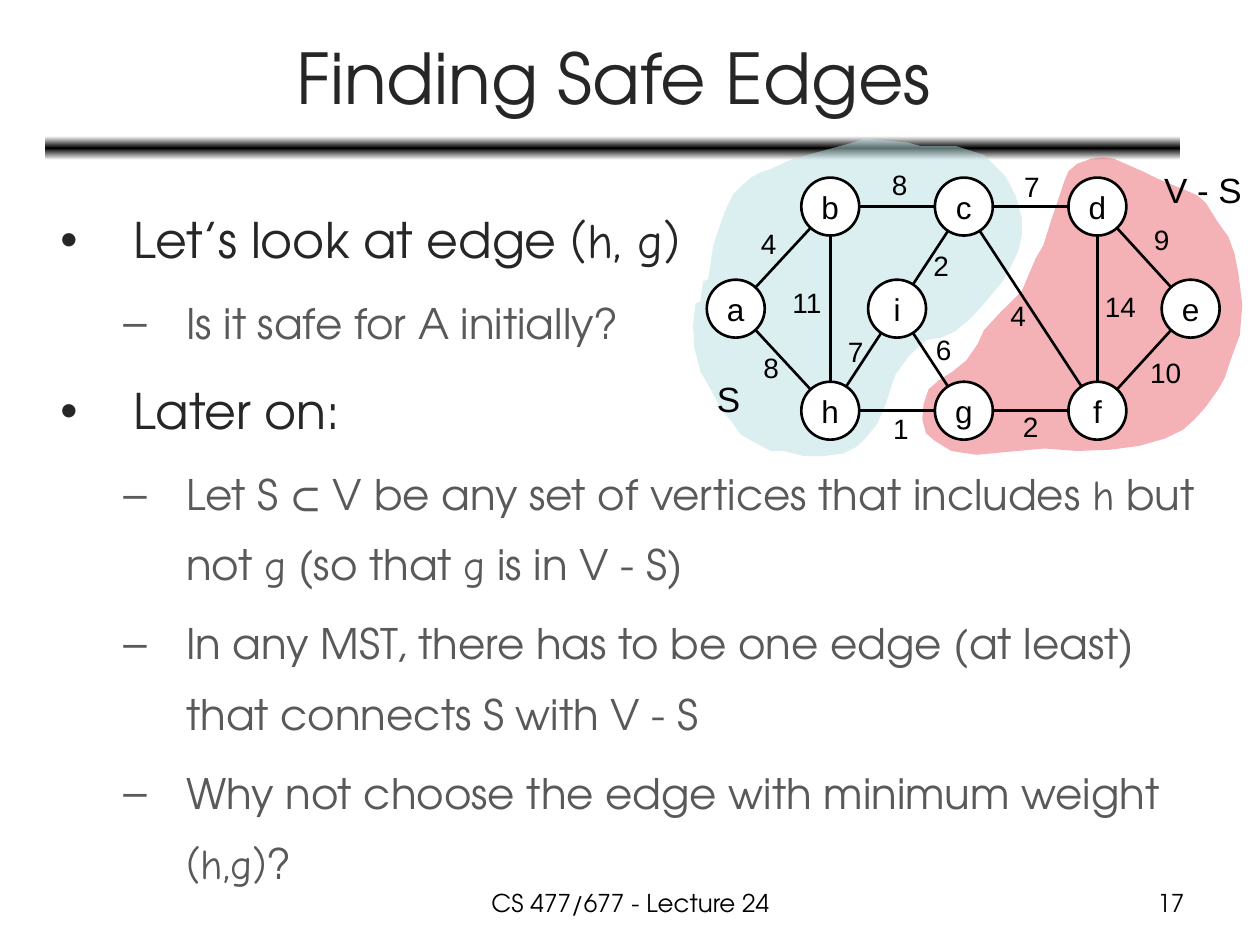
from copy import deepcopy
from math import hypot

from lxml.etree import SubElement
from pptx import Presentation
from pptx.dml.color import RGBColor
from pptx.enum.shapes import MSO_CONNECTOR, MSO_SHAPE
from pptx.enum.text import MSO_ANCHOR, PP_ALIGN
from pptx.oxml.ns import qn
from pptx.util import Inches, Pt

BLACK, WHITE, DARK, GREY = "000000", "FFFFFF", "262626", "595959"
HEADING, SANS, HAND = "TeX Gyre Adventor", "Arial", "Comic Neue"
RADIUS = 0.23
NODES = {
    "a": (5.84, 2.45), "b": (6.59, 1.64), "c": (7.65, 1.64),
    "d": (8.71, 1.64), "e": (9.45, 2.45), "h": (6.59, 3.26),
    "g": (7.65, 3.26), "f": (8.71, 3.26), "i": (7.12, 2.45),
}
EDGES = [
    ("b", "h", "11", 6.19, 2.22), ("d", "f", "14", 8.67, 2.25),
    ("b", "c", "8", 6.98, 1.28), ("c", "d", "7", 8.03, 1.3),
    ("h", "g", "1", 6.99, 3.22), ("g", "f", "2", 8.02, 3.2),
    ("a", "b", "4", 5.94, 1.75), ("f", "e", "10", 9.03, 2.77),
    ("d", "e", "9", 9.06, 1.72), ("a", "h", "8", 5.96, 2.73),
    ("c", "f", "4", 7.92, 2.32), ("i", "g", "6", 7.33, 2.59),
    ("h", "i", "7", 6.63, 2.61), ("i", "c", "2", 7.31, 1.92),
]
OUTSIDE_REGION = [
    (8.66, 1.26), (8.55, 1.3), (8.48, 1.36), (8.45, 1.43), (8.34, 1.76),
    (8.28, 1.95), (8.22, 2.05), (8.11, 2.31), (8.02, 2.4), (7.94, 2.48),
    (7.81, 2.62), (7.76, 2.73), (7.67, 2.86), (7.56, 2.95), (7.45, 3.02),
    (7.37, 3.09), (7.33, 3.21), (7.32, 3.33), (7.35, 3.44), (7.42, 3.5),
    (7.55, 3.58), (7.75, 3.61), (8.29, 3.56), (8.55, 3.58), (8.81, 3.57),
    (9.04, 3.54), (9.25, 3.48), (9.39, 3.41), (9.48, 3.33), (9.57, 3.23),
    (9.67, 3.09), (9.72, 3), (9.77, 2.85), (9.84, 2.66), (9.86, 2.42),
    (9.83, 2.18), (9.8, 2.02), (9.75, 1.88), (9.67, 1.77), (9.57, 1.61),
    (9.5, 1.55), (9.41, 1.51), (9.19, 1.42), (9.09, 1.37), (9, 1.33),
    (8.84, 1.26), (8.75, 1.25),
]
INSIDE_REGION = [
    (5.96, 1.41), (6.03, 1.37), (6.12, 1.34), (6.27, 1.27), (6.48, 1.21),
    (6.74, 1.14), (6.86, 1.1), (7.2, 1.13), (7.31, 1.16), (7.59, 1.16),
    (7.81, 1.23), (7.87, 1.29), (7.98, 1.4), (8.06, 1.55), (8.11, 1.73),
    (8.11, 1.87), (8.08, 2), (8.01, 2.14), (7.96, 2.23), (7.81, 2.41),
    (7.71, 2.52), (7.58, 2.63), (7.47, 2.68), (7.35, 2.7), (7.22, 2.82),
    (7.11, 2.97), (7.08, 3.05), (7.03, 3.21), (6.96, 3.37), (6.85, 3.5),
    (6.79, 3.55), (6.69, 3.6), (6.54, 3.62), (6.38, 3.62), (6.22, 3.58),
    (6.12, 3.58), (5.95, 3.49), (5.88, 3.45), (5.81, 3.35), (5.73, 3.26),
    (5.64, 3.09), (5.56, 2.95), (5.51, 2.76), (5.5, 2.58), (5.52, 2.41),
    (5.56, 2.39), (5.58, 2.23), (5.62, 2.22), (5.66, 1.95), (5.73, 1.74),
    (5.77, 1.64), (5.82, 1.54), (5.88, 1.48),
]
OUTLINE = [
    (0, [("Let’s look at edge ", HEADING), ("(h, g)", HAND)]),
    (1, [("Is it safe for A initially?", HEADING)]),
    (0, [("Later on:", HEADING)]),
    (1, [("Let S ⊂ V be any set of vertices that includes ", HEADING),
         ("h", HAND), (" but not ", HEADING), ("g", HAND),
         (" (so that ", HEADING), ("g", HAND), (" is in V - S)", HEADING)]),
    (1, [("In any MST, there has to be one edge (at least) "
          "that connects S with V - S", HEADING)]),
    (1, [("Why not choose the edge with minimum weight ", HEADING),
         ("(h,g)", HAND), ("?", HEADING)]),
]
LEVELS = [("•", 0.58, 0.58, 28, DARK), ("–", 1, 0.5, 24, GREY)]


def color(code):
    """Turn a hex string into a colour."""
    return RGBColor.from_string(code)


class Painter:
    """Holds the style and the current page."""

    def __init__(self, page):
        """Start painting on a page."""
        self.page = page

    def span(self, para, text, size, font, code):
        """Add one run of text."""
        span = para.add_run()
        span.text = text
        span.font.size = Pt(size)
        span.font.name = font
        span.font.color.rgb = color(code)

    def box(self, left, top, width, height, wrap=True):
        """Add an empty text box and return its frame."""
        box = self.page.shapes.add_textbox(
            Inches(left), Inches(top), Inches(width), Inches(height))
        box.text_frame.word_wrap = wrap
        return box.text_frame

    def label(self, text, place, size, font=SANS, code=BLACK,
              align=PP_ALIGN.LEFT, wrap=False, anchor=MSO_ANCHOR.TOP):
        """Add a text box with one line."""
        frame = self.box(*place, wrap)
        frame.vertical_anchor = anchor
        frame.paragraphs[0].alignment = align
        self.span(frame.paragraphs[0], text, size, font, code)

    def rule(self, left, top, width, height):
        """Add the bar that fades from black to white at both edges."""
        bar = self.page.shapes.add_shape(
            MSO_SHAPE.ROUNDED_RECTANGLE,
            Inches(left), Inches(top), Inches(width), Inches(height))
        bar.shadow.inherit = False
        bar.line.fill.background()
        bar.fill.gradient()
        bar.fill.gradient_angle = 270
        stops = bar.fill._fill._gradFill.find(qn("a:gsLst"))
        stops.append(deepcopy(stops[-1]))
        shades = [(0, WHITE), (0.5, BLACK), (1, WHITE)]
        for stop, (position, code) in zip(bar.fill.gradient_stops, shades):
            stop.position = position
            stop.color.rgb = color(code)

    def region(self, points, code, opacity):
        """Add a see-through area around a set of vertices."""
        corners = [(Inches(x), Inches(y)) for x, y in points]
        builder = self.page.shapes.build_freeform(*corners[0])
        builder.add_line_segments(corners[1:], close=True)
        area = builder.convert_to_shape()
        area.shadow.inherit = False
        area.line.fill.background()
        area.fill.solid()
        area.fill.fore_color.rgb = color(code)
        tint = area.fill._xPr.find(".//" + qn("a:srgbClr"))
        SubElement(tint, qn("a:alpha"), val=str(opacity * 1000))

    def outline(self, place, items):
        """Add the bulleted text."""
        frame = self.box(*place)
        for index, (level, spans) in enumerate(items):
            para = frame.add_paragraph() if index else frame.paragraphs[0]
            bullet, margin, hanging, size, code = LEVELS[level]
            props = para._p.get_or_add_pPr()
            props.set("marL", str(Inches(margin)))
            props.set("indent", str(-Inches(hanging)))
            SubElement(props, qn("a:buFont"), typeface=SANS)
            SubElement(props, qn("a:buChar"), char=bullet)
            para.level = level
            para.line_spacing = 1.4
            if index:
                para.space_before = Pt(size * 0.2)
            for text, font in spans:
                self.span(para, text, size, font, code)

    def node(self, name, x, y):
        """Add a vertex centred on a point."""
        disc = self.page.shapes.add_shape(
            MSO_SHAPE.OVAL, Inches(x - RADIUS), Inches(y - RADIUS),
            Inches(2 * RADIUS), Inches(2 * RADIUS))
        disc.shadow.inherit = False
        disc.fill.solid()
        disc.fill.fore_color.rgb = color(WHITE)
        disc.line.color.rgb = color(BLACK)
        disc.line.width = Pt(1.5)
        frame = disc.text_frame
        frame.word_wrap = False
        frame.vertical_anchor = MSO_ANCHOR.MIDDLE
        frame.paragraphs[0].alignment = PP_ALIGN.CENTER
        self.span(frame.paragraphs[0], name, 18, SANS, BLACK)

    def edge(self, start, end):
        """Join the rims of two vertices."""
        (x1, y1), (x2, y2) = start, end
        share = RADIUS / hypot(x2 - x1, y2 - y1)
        dx, dy = (x2 - x1) * share, (y2 - y1) * share
        line = self.page.shapes.add_connector(
            MSO_CONNECTOR.STRAIGHT, Inches(x1 + dx), Inches(y1 + dy),
            Inches(x2 - dx), Inches(y2 - dy))
        line.line.color.rgb = color(BLACK)
        line.line.width = Pt(1.5)
        SubElement(line._element.spPr, qn("a:effectLst"))


def main():
    """Build the slide and save it."""
    deck = Presentation()
    deck.slide_width, deck.slide_height = Inches(10), Inches(7.5)
    painter = Painter(deck.slides.add_slide(deck.slide_layouts[6]))
    painter.rule(0.36, 1.08, 9.01, 0.19)
    painter.label("CS 477/677 - Lecture 24", (3.42, 7, 3.17, 0.35), 14,
                  HEADING, align=PP_ALIGN.CENTER, wrap=True)
    painter.region(OUTSIDE_REGION, "DD0111", 30)
    painter.region(INSIDE_REGION, "BBE0E3", 50)
    painter.label("S", (5.59, 2.95, 0.39, 0.43), 20)
    painter.label("V - S", (9.14, 1.29, 0.82, 0.43), 20)
    painter.label("Finding Safe Edges", (0.37, 0.11, 9, 0.99), 40, HEADING,
                  DARK, PP_ALIGN.CENTER, True, MSO_ANCHOR.MIDDLE)
    painter.outline((0.38, 1.43, 9.42, 5.55), OUTLINE)
    for name, (x, y) in NODES.items():
        painter.node(name, x, y)
    for start, end, weight, left, top in EDGES:
        painter.edge(NODES[start], NODES[end])
        width = 0.32 if len(weight) == 1 else 0.45
        painter.label(weight, (left, top, width, 0.37), 16)
    painter.label("17", (7.17, 7, 2.33, 0.35), 14, HEADING,
                  align=PP_ALIGN.RIGHT, wrap=True)
    deck.save("out.pptx")


if __name__ == "__main__":
    main()
